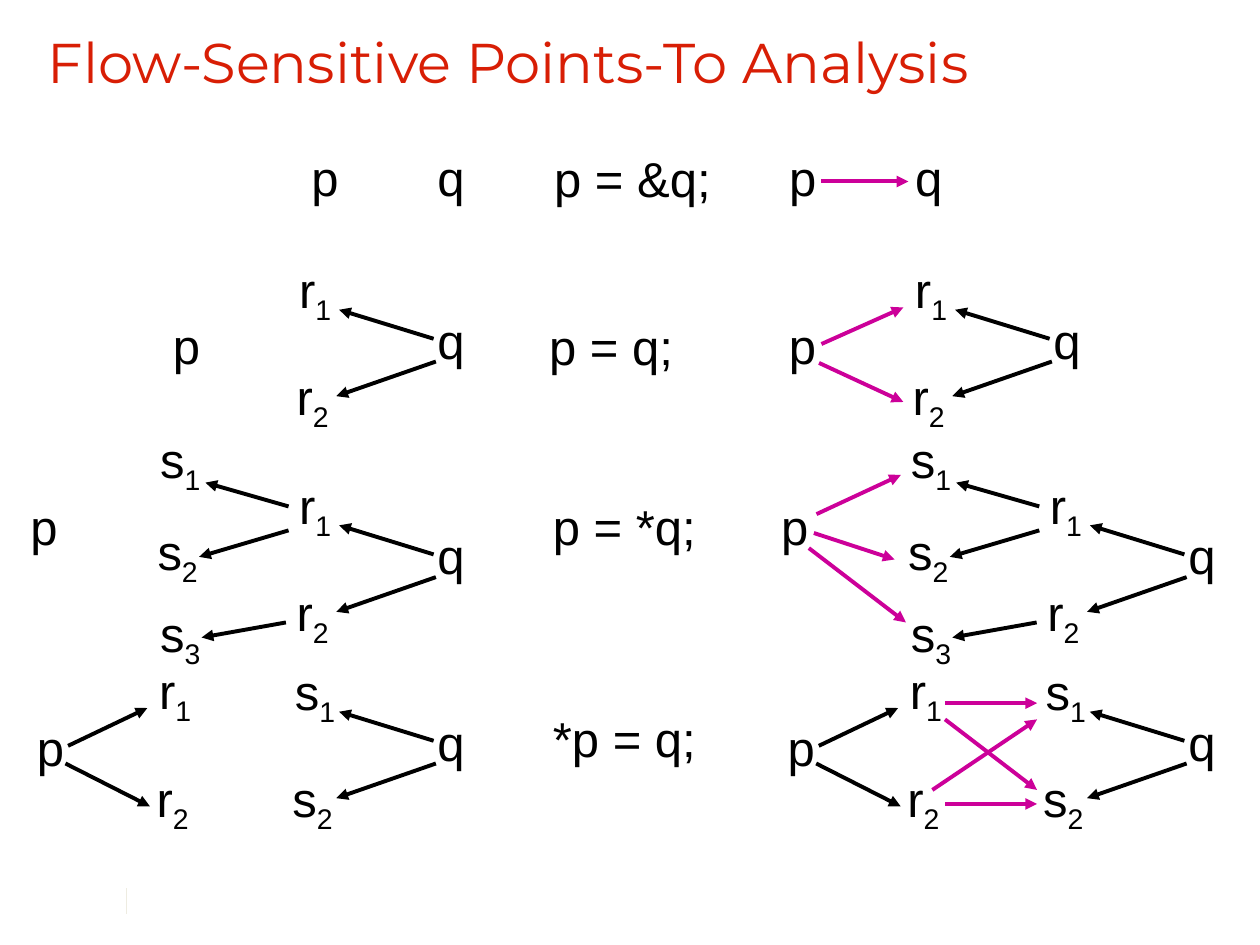
from pptx import Presentation
from pptx.dml.color import RGBColor
from pptx.enum.shapes import MSO_CONNECTOR
from pptx.enum.text import MSO_ANCHOR, MSO_AUTO_SIZE, PP_ALIGN
from pptx.oxml.ns import qn
from pptx.util import Pt
from lxml import etree

STRAIGHT = MSO_CONNECTOR.STRAIGHT
LEFT, CENTER = PP_ALIGN.LEFT, PP_ALIGN.CENTER
TOP, MIDDLE = MSO_ANCHOR.TOP, MSO_ANCHOR.MIDDLE
FIT_SHAPE, NO_FIT = MSO_AUTO_SIZE.SHAPE_TO_FIT_TEXT, MSO_AUTO_SIZE.NONE

BLACK = RGBColor(0x00, 0x00, 0x00)
RED = RGBColor(0xD8, 0x1E, 0x05)
MAGENTA = RGBColor(0xCC, 0x00, 0x99)
IVORY = RGBColor(0xEE, 0xEC, 0xE1)

BOX_H = 41
Q_X = 257.8
NODE_W = {"p": 30, "q": 30, "r": 34.6, "s": 38.9}

STATEMENTS = [
    ("p = &q;", 361.4, 101.9, 105),
    ("p = q;", 349.2, 197.6, 86),
    ("p = *q;", 356.8, 300.6, 97),
    ("*p = q;", 356.8, 421.6, 97),
]

NEW_EDGES = [
    (469.4, 103.7, 519.1, 103.7),
    (469.4, 196.6, 516.2, 175.7),
    (468, 207.4, 516.2, 229.7),
    (466.6, 293.8, 514.8, 271.4),
    (465.1, 304.6, 511.2, 319.7),
    (462.2, 313.2, 517.7, 355.7),
    (540, 401.8, 592.6, 401.8),
    (540, 459.4, 592.6, 459.4),
    (540, 411.1, 592.6, 451.4),
    (532.8, 451.4, 592.6, 411.1),
]


def add_text(s, text, x, y, w, h, *, sub="", font="Arial", size=28, color=BLACK,
             align=CENTER, anchor=MIDDLE, wrap=False, fit=FIT_SHAPE):
    """Add a text box, with an optional subscript after the text."""
    tf = s.shapes.add_textbox(Pt(x), Pt(y), Pt(w), Pt(h)).text_frame
    tf.word_wrap, tf.auto_size, tf.vertical_anchor = wrap, fit, anchor
    p = tf.paragraphs[0]
    p.alignment = align
    for part in filter(None, (text, sub)):
        r = p.add_run()
        r.text = part
        r.font.name, r.font.size = font, Pt(size)
        r.font.color.rgb = color
    if sub:
        r.font._element.set("baseline", "-25000")


def add_line(s, x1, y1, x2, y2, *, color=BLACK, width=2.25, arrow=True):
    """Add a straight line, by default with an arrowhead at its end."""
    c = s.shapes.add_connector(STRAIGHT, Pt(x1), Pt(y1), Pt(x2), Pt(y2))
    c.line.color.rgb, c.line.width = color, Pt(width)
    if arrow:
        etree.SubElement(c.line._get_or_add_ln(), qn("a:tailEnd"), type="triangle")
    etree.SubElement(c._element.spPr, qn("a:effectLst"))


def add_node(s, name, x, y):
    """Add a variable such as p or r1, centred on a point."""
    w = NODE_W[name[0]]
    add_text(s, name[0], x - w / 2, y - BOX_H / 2, w, BOX_H, sub=name[1:])


def add_q_fan(s, x, y, target):
    """Add q pointing to two numbered targets on its left."""
    add_node(s, "q", x, y)
    add_node(s, target + "1", x - 77.8, y - 26.6)
    add_node(s, target + "2", x - 79.2, y + 34.6)
    add_line(s, x - 10, y - 0.4, x - 64, y - 17)
    add_line(s, x - 8.7, y + 12.6, x - 65.6, y + 32.4)


def add_address_graph(s, dx):
    """Add the unconnected p and q of the address assignment."""
    add_node(s, "p", dx + 185.8, 101.2)
    add_node(s, "q", dx + Q_X, 101.2)


def add_copy_graph(s, dx):
    """Add the graph of the plain assignment."""
    add_node(s, "p", dx + 106.6, 196.9)
    add_q_fan(s, dx + Q_X, 194, "r")


def add_load_graph(s, dx):
    """Add the graph of the load through q."""
    add_node(s, "p", dx + 25.2, 300.6)
    add_q_fan(s, dx + Q_X, 317.2, "r")
    for name, x, y in (("s1", 103, 264.6), ("s2", 101.5, 317.2), ("s3", 103, 364)):
        add_node(s, name, dx + x, y)
    add_line(s, dx + 164.9, 289.4, dx + 117.4, 275.8)
    add_line(s, dx + 164.9, 303.1, dx + 113.8, 318.2)
    add_line(s, dx + 163.4, 355.7, dx + 115.2, 364.3)


def add_store_graph(s, dx):
    """Add the graph of the store through p."""
    for name, x, y in (("p", 28.8, 426.6), ("r1", 100.1, 396.4), ("r2", 98.6, 458.3)):
        add_node(s, name, dx + x, y)
    add_line(s, dx + 38.9, 426.2, dx + 84.2, 404.6)
    add_line(s, dx + 37.4, 436.3, dx + 85.7, 460.8)
    add_q_fan(s, dx + Q_X, 423.7, "s")


def main():
    """Build the slide: each graph before and after its statement."""
    prs = Presentation()
    prs.slide_width, prs.slide_height = Pt(720), Pt(540)
    s = prs.slides.add_slide(prs.slide_layouts[6])
    add_line(s, 72, 507.6, 72, 522, color=IVORY, width=0.25, arrow=False)
    add_text(s, "Flow-Sensitive Points-To Analysis", 20.2, 12.2, 676.8, 90,
             font="Montserrat", size=32, color=RED, align=LEFT, anchor=TOP,
             wrap=True, fit=NO_FIT)
    for text, x, y, w in STATEMENTS:
        add_text(s, text, x - w / 2, y - BOX_H / 2, w, BOX_H)
    for add_graph, shift in ((add_address_graph, 273), (add_copy_graph, 352),
                             (add_load_graph, 429), (add_store_graph, 429)):
        for dx in (0, shift):
            add_graph(s, dx)
    for edge in NEW_EDGES:
        add_line(s, *edge, color=MAGENTA)
    prs.save("out.pptx")


if __name__ == "__main__":
    main()
